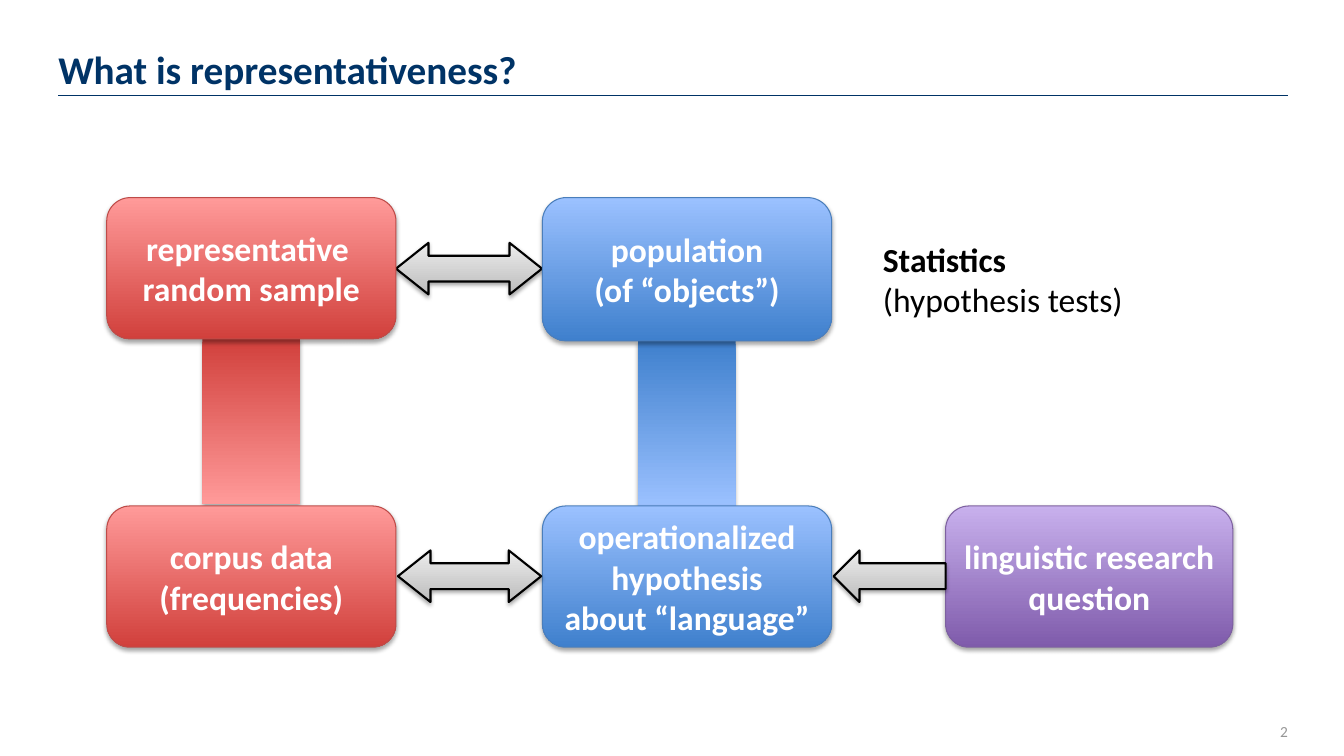
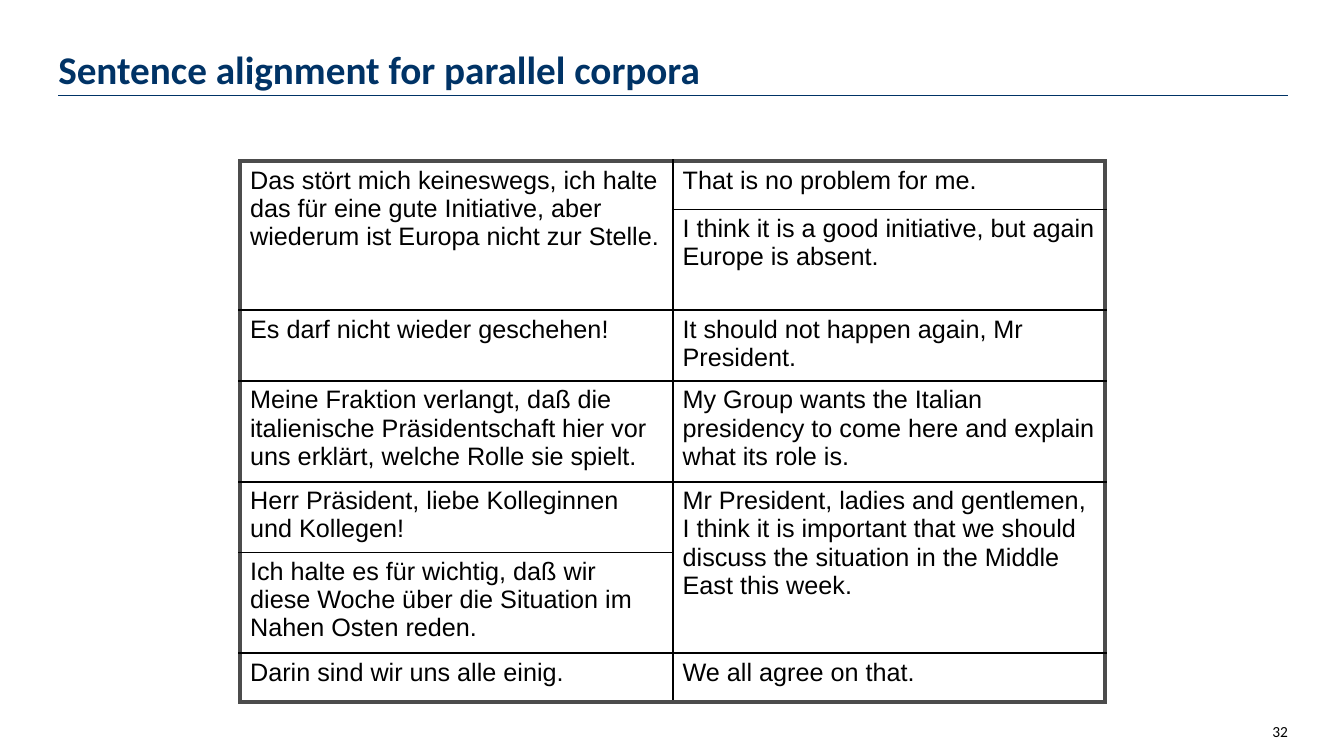
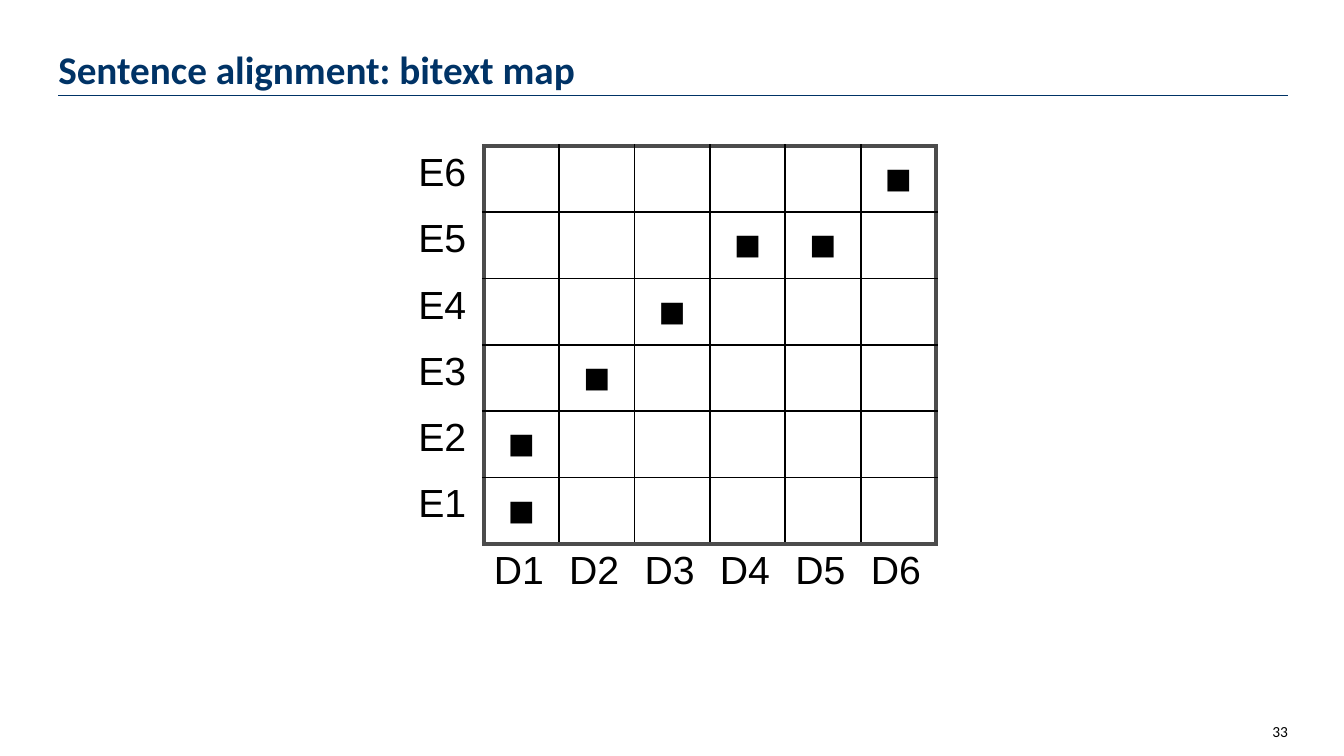
from lxml import etree
from pptx import Presentation
from pptx.dml.color import RGBColor
from pptx.enum import shapes, text
from pptx.oxml import ns
from pptx.util import Cm, Pt

# Palette: gradient start, gradient end, outline
NAVY = RGBColor(0x00, 0x33, 0x66)
BLACK = RGBColor(0, 0, 0)
WHITE = RGBColor(255, 255, 255)
GREY = RGBColor(0x96, 0x96, 0x96)
FRAME = RGBColor(0x4C, 0x4C, 0x4C)
RED = (RGBColor(0xFF, 0x9A, 0x99), RGBColor(0xD1, 0x40, 0x3C),
       RGBColor(0xBE, 0x4B, 0x48))
BLUE = (RGBColor(0x9B, 0xC1, 0xFF), RGBColor(0x3F, 0x80, 0xCD),
        RGBColor(0x4A, 0x7E, 0xBB))
PLUM = (RGBColor(0xC8, 0xB0, 0xED), RGBColor(0x7F, 0x5B, 0xAB),
        RGBColor(0x7D, 0x60, 0xA0))
STEEL = (RGBColor(0xED, 0xED, 0xED), RGBColor(0xBC, 0xBC, 0xBC), BLACK)

KIND = shapes.MSO_SHAPE
ALIGN = text.PP_ALIGN
ANCHOR = text.MSO_ANCHOR
PLAIN = "{2D5ABB26-0587-4C30-8999-92F81FD0307C}"


def sub(node, tag, **attrs):
    return etree.SubElement(node, ns.qn(tag), **attrs)


class Deck:
    def __init__(self):
        self.prs = Presentation()
        self.prs.slide_width, self.prs.slide_height = Cm(33.87), Cm(19.05)
        self.slide = None

    def page(self, title, number, shade=BLACK):
        """Start a slide with its title, rule and number."""
        self.slide = self.prs.slides.add_slide(self.prs.slide_layouts[6])
        rule = self.slide.shapes.add_connector(
            shapes.MSO_CONNECTOR.STRAIGHT, Cm(1.47), Cm(2.4), Cm(32.46), Cm(2.4))
        rule.line.color.rgb, rule.line.width = NAVY, Pt(0.75)
        sub(rule._element.spPr, "a:effectLst")
        head = self.label(1.47, 0.33, 21.44, 2, [title], 28, NAVY, True,
                          anchor=ANCHOR.BOTTOM, inset=0)
        head.paragraphs[0].line_spacing = Pt(28)
        self.label(30.78, 17.8, 1.68, 1.25, [number], 11, shade,
                   align=ALIGN.RIGHT, anchor=ANCHOR.MIDDLE, inset=0)

    def put(self, frame, lines, size, color, bold=False, align=ALIGN.LEFT,
            face="Calibri"):
        frame.word_wrap = True
        for i, line in enumerate(lines):
            para = frame.add_paragraph() if i else frame.paragraphs[0]
            para.text, para.alignment = line, align
            font = para.font
            font.name, font.size, font.bold = face, Pt(size), bold
            font.color.rgb = color

    def label(self, x, y, w, h, lines, size, color, bold=False,
              align=ALIGN.LEFT, anchor=ANCHOR.TOP, inset=None):
        frame = self.slide.shapes.add_textbox(
            Cm(x), Cm(y), Cm(w), Cm(h)).text_frame
        frame.vertical_anchor = anchor
        if inset is not None:
            frame.margin_left = frame.margin_right = Cm(inset)
            frame.margin_top = frame.margin_bottom = Cm(inset)
        self.put(frame, lines, size, color, bold, align)
        return frame

    def block(self, kind, x, y, w, h, hue, edge=0.75, flip=False):
        """Add a shape with a vertical gradient and a soft shadow."""
        item = self.slide.shapes.add_shape(kind, Cm(x), Cm(y), Cm(w), Cm(h))
        item.fill.gradient()
        item.fill.gradient_angle = 270
        tones = hue[1::-1] if flip else hue[:2]
        for stop, tone in zip(item.fill.gradient_stops, tones):
            stop.color.rgb = tone
        if edge:
            item.line.color.rgb, item.line.width = hue[2], Pt(edge)
        else:
            item.line.fill.background()
        item.shadow.inherit = False
        glow = item._element.spPr.find(ns.qn("a:effectLst"))
        cast = sub(glow, "a:outerShdw", blurRad=str(Pt(3.1)),
                   dist=str(Pt(1.8)), dir="5400000", rotWithShape="0")
        sub(sub(cast, "a:srgbClr", val="000000"), "a:alpha", val="35000")
        return item

    def box(self, x, y, w, h, hue, lines):
        frame = self.block(KIND.ROUNDED_RECTANGLE, x, y, w, h, hue).text_frame
        frame.vertical_anchor = ANCHOR.MIDDLE
        self.put(frame, lines, 24, WHITE, True, ALIGN.CENTER)

    def arrow(self, kind, x, y, w, tip):
        item = self.block(kind, x, y, w, 1.3, STEEL, 1.5)
        item.adjustments[1] = tip

    def grid(self, x, y, cols, rows):
        table = self.slide.shapes.add_table(
            len(rows), len(cols), Cm(x), Cm(y),
            Cm(sum(cols)), Cm(sum(rows))).table
        table.first_row = table.horz_banding = False
        table._tbl.tblPr.find(ns.qn("a:tableStyleId")).text = PLAIN
        for col, size in zip(table.columns, cols):
            col.width = Cm(size)
        for row, size in zip(table.rows, rows):
            row.height = Cm(size)
        return table

    def frame(self, table, top, left, bottom, right):
        """Rule the given block of cells: heavy outside, thin inside."""
        for r in range(top, bottom + 1):
            for c in range(left, right + 1):
                cell = table.cell(r, c)
                props = cell._tc.get_or_add_tcPr()
                for tag, outer in (("L", c == left), ("R", c == right),
                                   ("T", r == top), ("B", r == bottom)):
                    line = sub(props, "a:ln" + tag,
                               w=str(Pt(3 if outer else 1.5)))
                    sub(sub(line, "a:solidFill"), "a:srgbClr",
                        val=str(FRAME if outer else BLACK))
                cell.fill.background()

    def cell(self, table, r, c, words, size, align=ALIGN.LEFT,
             anchor=ANCHOR.TOP):
        spot = table.cell(r, c)
        spot.vertical_anchor = anchor
        self.put(spot.text_frame, [words], size, BLACK, align=align,
                 face="Arial")


def sample(deck):
    deck.page("What is representativeness?", "2", GREY)
    left, mid, right = 2.69, 13.67, 23.83
    top, low, wide, high = 4.98, 12.75, 7.29, 3.56

    # Pillars between the two rows
    for x, hue, y in ((left, RED, 8.53), (mid, BLUE, 8.59)):
        deck.block(KIND.RECTANGLE, x + 2.41, y, 2.46, 4.17, hue, 0, True)

    # Boxes and the arrows between them
    deck.box(right, low, 7.24, high, PLUM, ["linguistic research question"])
    deck.arrow(KIND.LEFT_ARROW, 21.01, 13.87, 2.82, 0.5)
    deck.box(mid, low, wide, high, BLUE,
             ["operationalized", "hypothesis", "about “language”"])
    deck.arrow(KIND.LEFT_RIGHT_ARROW, 10.03, 13.87, 3.61, 0.63)
    deck.box(left, low, wide, high, RED, ["corpus data", "(frequencies)"])
    deck.arrow(KIND.LEFT_RIGHT_ARROW, 9.98, 6.12, 3.68, 0.63)
    deck.box(mid, top, wide, 3.61, BLUE, ["population", "(of “objects”)"])
    deck.box(left, top, wide, high, RED, ["representative \vrandom sample"])

    # Side note
    note = deck.label(22, 5.89, 6.78, 2.31,
                      ["Statistics", "(hypothesis tests)"], 24, BLACK)
    note.paragraphs[0].font.bold = True


# German and English sentences; None joins a cell to the one above
PAIRS = [
    ("Das stört mich keineswegs, ich halte das für eine gute Initiative, "
     "aber wiederum ist Europa nicht zur Stelle.",
     "That is no problem for me."),
    (None, "I think it is a good initiative, but again Europe is absent."),
    ("Es darf nicht wieder geschehen!",
     "It should not happen again, Mr President."),
    ("Meine Fraktion verlangt, daß die italienische Präsidentschaft hier "
     "vor uns erklärt, welche Rolle sie spielt.",
     "My Group wants the Italian presidency to come here and explain what "
     "its role is."),
    ("Herr Präsident, liebe Kolleginnen und Kollegen!",
     "Mr President, ladies and gentlemen, I think it is important that we "
     "should discuss the situation in the Middle East this week."),
    ("Ich halte es für wichtig, daß wir diese Woche über die Situation im "
     "Nahen Osten reden.", None),
    ("Darin sind wir uns alle einig.", "We all agree on that."),
]


def pairs(deck):
    deck.page("Sentence alignment for parallel corpora", "32")
    table = deck.grid(6.05, 4.06, [10.9] * 2,
                      [1.22, 2.41, 1.78, 2.54, 1.78, 2.54, 1.22])
    deck.frame(table, 0, 0, 6, 1)
    for r, pair in enumerate(PAIRS):
        for c, words in enumerate(pair):
            if words is None:
                table.cell(r - 1, c).merge(table.cell(r, c))
            else:
                deck.cell(table, r, c, words, 18)


# German sentences matched by each English one, E1 to E6
LINKS = [[1], [1], [2], [3], [4, 5], [6]]


def bitext(deck):
    deck.page("Sentence alignment: bitext map", "33")
    count = len(LINKS)
    table = deck.grid(10.29, 3.68, [1.9] * (count + 1), [1.67] * (count + 1))
    deck.frame(table, 0, 1, count - 1, count)
    for n, links in enumerate(LINKS, 1):
        row = count - n
        deck.cell(table, row, 0, f"E{n}", 28)
        deck.cell(table, count, n, f"D{n}", 28)
        for c in links:
            deck.cell(table, row, c, "■", 32, ALIGN.CENTER, ANCHOR.MIDDLE)


def main():
    deck = Deck()
    sample(deck)
    pairs(deck)
    bitext(deck)
    deck.prs.save("out.pptx")


if __name__ == "__main__":
    main()
